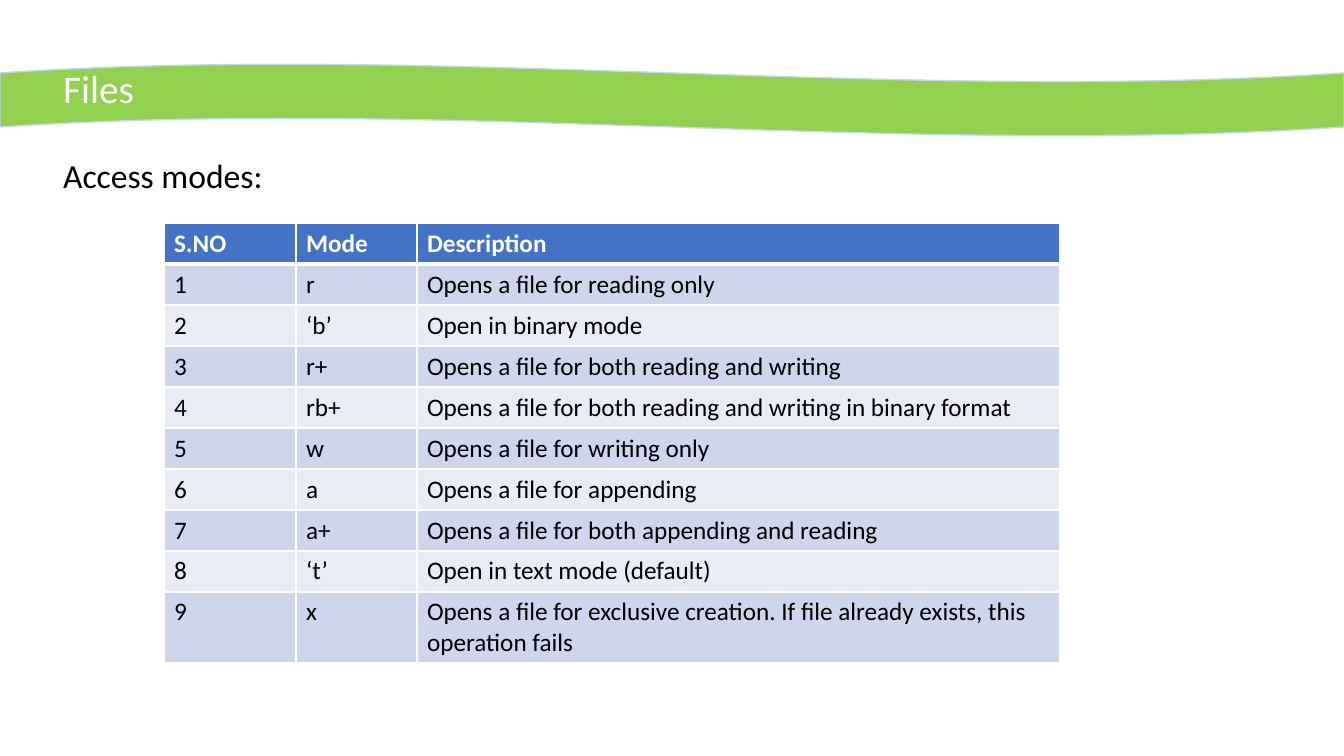
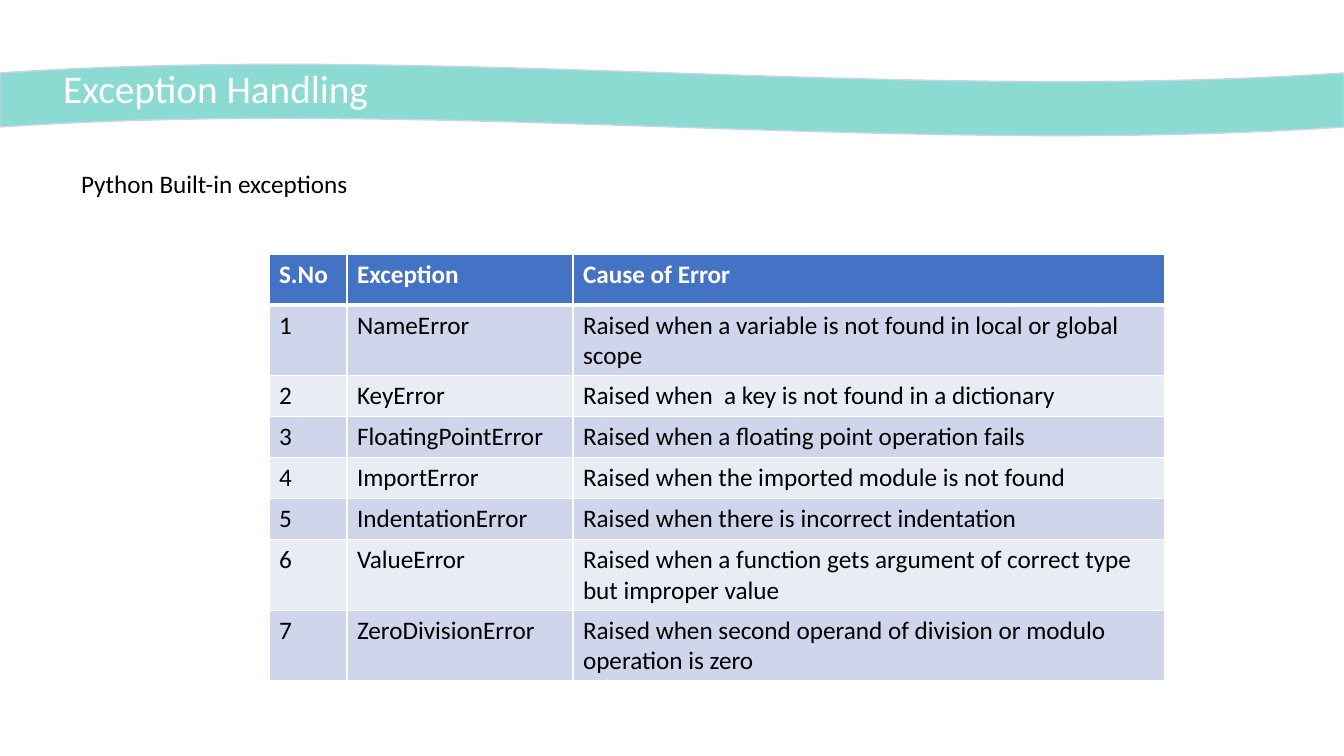
import dataclasses

import lxml.etree
import pptx
import pptx.dml.color
import pptx.enum.shapes
import pptx.enum.text
import pptx.oxml.ns
import pptx.util

PX_PER_INCH = 100.8
SLIDE_WIDTH, SLIDE_HEIGHT = 1344, 756
BAND_BOX = (0, 64, SLIDE_WIDTH, 72)
ROW_HEIGHT = 41


@dataclasses.dataclass(frozen=True)
class Theme:
    font: str = "Calibri"
    title_size: int = 28
    lead_size: int = 24
    text_size: int = 18
    white: str = "FFFFFF"
    black: str = "000000"
    green: str = "92D050"
    teal: str = "8BDBD3"
    band_line: str = "C6D4EC"
    header: str = "4472C4"
    stripes: tuple = ("CFD5EA", "E9EBF5")
    thin: int = 1
    thick: int = 3


THEME = Theme()

FILE_MODES = [
    ("S.NO", "Mode", "Description"),
    ("1", "r", "Opens a file for reading only"),
    ("2", "‘b’", "Open in binary mode"),
    ("3", "r+", "Opens a file for both reading and writing"),
    ("4", "rb+", "Opens a file for both reading and writing in binary format"),
    ("5", "w", "Opens a file for writing only"),
    ("6", "a", "Opens a file for appending"),
    ("7", "a+", "Opens a file for both appending and reading"),
    ("8", "‘t’", "Open in text mode (default)"),
    ("9", "x", "Opens a file for exclusive creation. If file already exists, this operation fails"),
]

EXCEPTIONS = [
    ("S.No", "Exception", "Cause of Error"),
    ("1", "NameError", "Raised when a variable is not found in local or global scope"),
    ("2", "KeyError", "Raised when  a key is not found in a dictionary"),
    ("3", "FloatingPointError", "Raised when a floating point operation fails"),
    ("4", "ImportError", "Raised when the imported module is not found"),
    ("5", "IndentationError", "Raised when there is incorrect indentation"),
    ("6", "ValueError", "Raised when a function gets argument of correct type but improper value"),
    ("7", "ZeroDivisionError", "Raised when second operand of division or modulo operation is zero"),
]


def px(length):
    return pptx.util.Emu(round(length * 914400 / PX_PER_INCH))


def rgb(color):
    return pptx.dml.color.RGBColor.from_string(color)


def set_attributes(target, values):
    for name, value in values.items():
        setattr(target, name, value)


def write_text(text_frame, text, size, color, bold=False):
    text_frame.text = text
    paragraph = text_frame.paragraphs[0]
    set_attributes(paragraph, {
        "alignment": pptx.enum.text.PP_ALIGN.LEFT,
        "space_before": pptx.util.Pt(0),
    })
    font = paragraph.runs[0].font
    set_attributes(font, {"name": THEME.font, "size": pptx.util.Pt(size), "bold": bold})
    font.color.rgb = rgb(color)


def fill_placeholder(shape, box, text, size, color):
    set_attributes(shape, dict(zip(("left", "top", "width", "height"), map(px, box))))
    write_text(shape.text_frame, text, size, color)
    set_attributes(shape.text_frame, {
        "word_wrap": False,
        "auto_size": pptx.enum.text.MSO_AUTO_SIZE.SHAPE_TO_FIT_TEXT,
        "vertical_anchor": pptx.enum.text.MSO_ANCHOR.TOP,
    })
    for properties in shape.element.iter(pptx.oxml.ns.qn("a:pPr")):
        properties.set("marL", "0")
        properties.set("indent", "0")
        lxml.etree.SubElement(properties, pptx.oxml.ns.qn("a:buNone"))


def add_band(slide, box, color):
    band = slide.shapes.add_shape(pptx.enum.shapes.MSO_SHAPE.WAVE, *map(px, box))
    band.shadow.inherit = False
    band.fill.solid()
    band.fill.fore_color.rgb = rgb(color)
    band.line.color.rgb = rgb(THEME.band_line)
    band.line.width = pptx.util.Pt(THEME.thin)
    slide.shapes.title.element.addprevious(band.element)


def add_border(properties, position, edge, width):
    qn = pptx.oxml.ns.qn
    line = lxml.etree.Element(qn(f"a:ln{edge}"), w=str(pptx.util.Pt(width)))
    fill = lxml.etree.SubElement(line, qn("a:solidFill"))
    lxml.etree.SubElement(fill, qn("a:srgbClr"), val=THEME.white)
    properties.insert(position, line)


def add_grid(slide, origin, column_widths, header_height, rows):
    row_heights = [header_height] + [ROW_HEIGHT] * (len(rows) - 1)
    box = (*origin, sum(column_widths), sum(row_heights))
    frame = slide.shapes.add_table(len(rows), len(column_widths), *map(px, box))
    table = frame.table
    for column, width in zip(table.columns, column_widths):
        column.width = px(width)
    for row_index, (row, height, values) in enumerate(zip(table.rows, row_heights, rows)):
        row.height = px(height)
        is_header = row_index == 0
        fill = THEME.header if is_header else THEME.stripes[(row_index - 1) % 2]
        color = THEME.white if is_header else THEME.black
        for cell, value in zip(row.cells, values):
            write_text(cell.text_frame, value, THEME.text_size, color, is_header)
            cell.fill.solid()
            cell.fill.fore_color.rgb = rgb(fill)
    for index, properties in enumerate(frame.element.iter(pptx.oxml.ns.qn("a:tcPr"))):
        row_index = index // len(column_widths)
        for position, edge in enumerate("LRTB"):
            under_header = (row_index, edge) in ((0, "B"), (1, "T"))
            add_border(properties, position, edge, THEME.thick if under_header else THEME.thin)


def add_table_slide(presentation, title, title_box, band_color, caption, caption_box, caption_size, grid):
    slide = presentation.slides.add_slide(presentation.slide_layouts[1])
    add_band(slide, BAND_BOX, band_color)
    fill_placeholder(slide.shapes.title, title_box, title, THEME.title_size, THEME.white)
    fill_placeholder(slide.placeholders[1], caption_box, caption, caption_size, THEME.black)
    add_grid(slide, **grid)


def main():
    presentation = pptx.Presentation()
    set_attributes(presentation, {"slide_width": px(SLIDE_WIDTH), "slide_height": px(SLIDE_HEIGHT)})
    add_table_slide(
        presentation, "Files", (53, 59, 92, 57), THEME.green,
        "Access modes:", (53, 150, 222, 50), THEME.lead_size,
        {"origin": (164, 223), "column_widths": (132, 121, 643),
         "header_height": ROW_HEIGHT, "rows": FILE_MODES},
    )
    add_table_slide(
        presentation, "Exception Handling", (53, 59, 329, 57), THEME.teal,
        "Python Built-in exceptions", (71, 163, 290, 40), THEME.text_size,
        {"origin": (269, 254), "column_widths": (78, 226, 592),
         "header_height": 51, "rows": EXCEPTIONS},
    )
    presentation.save("out.pptx")


if __name__ == "__main__":
    main()
